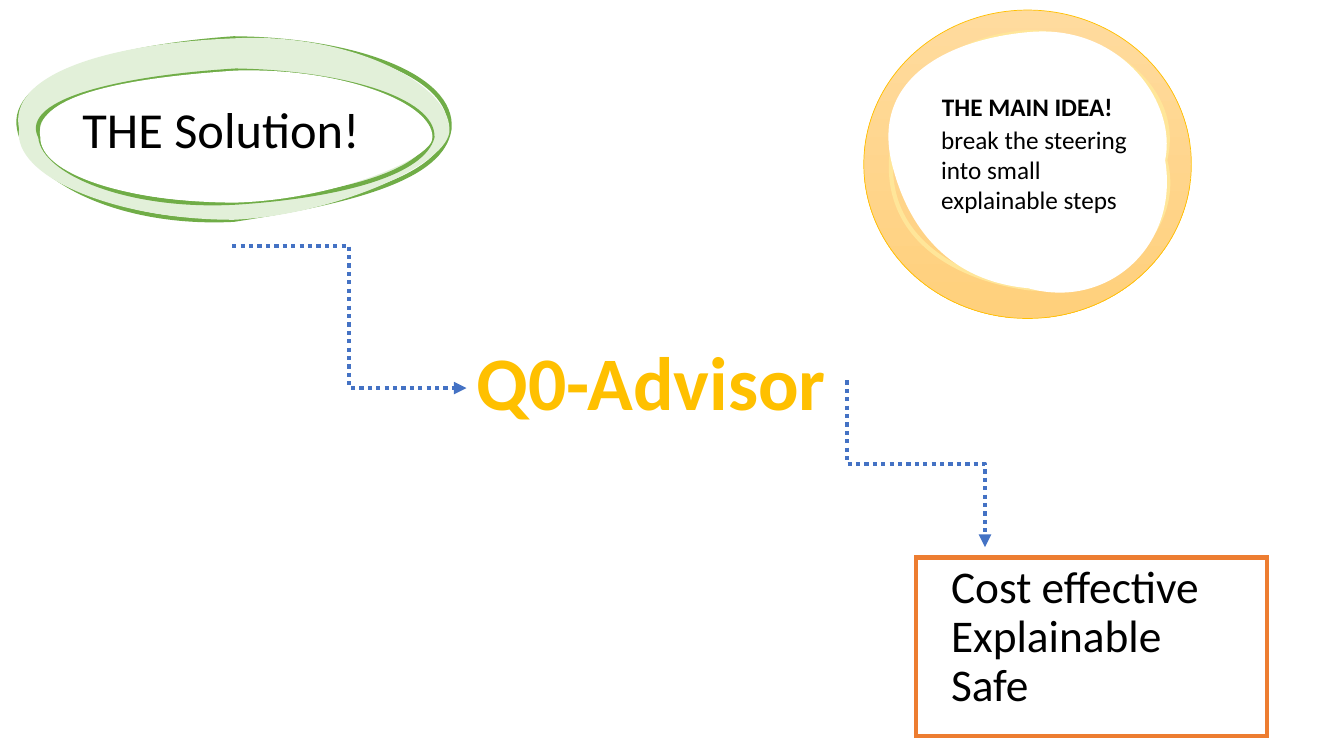
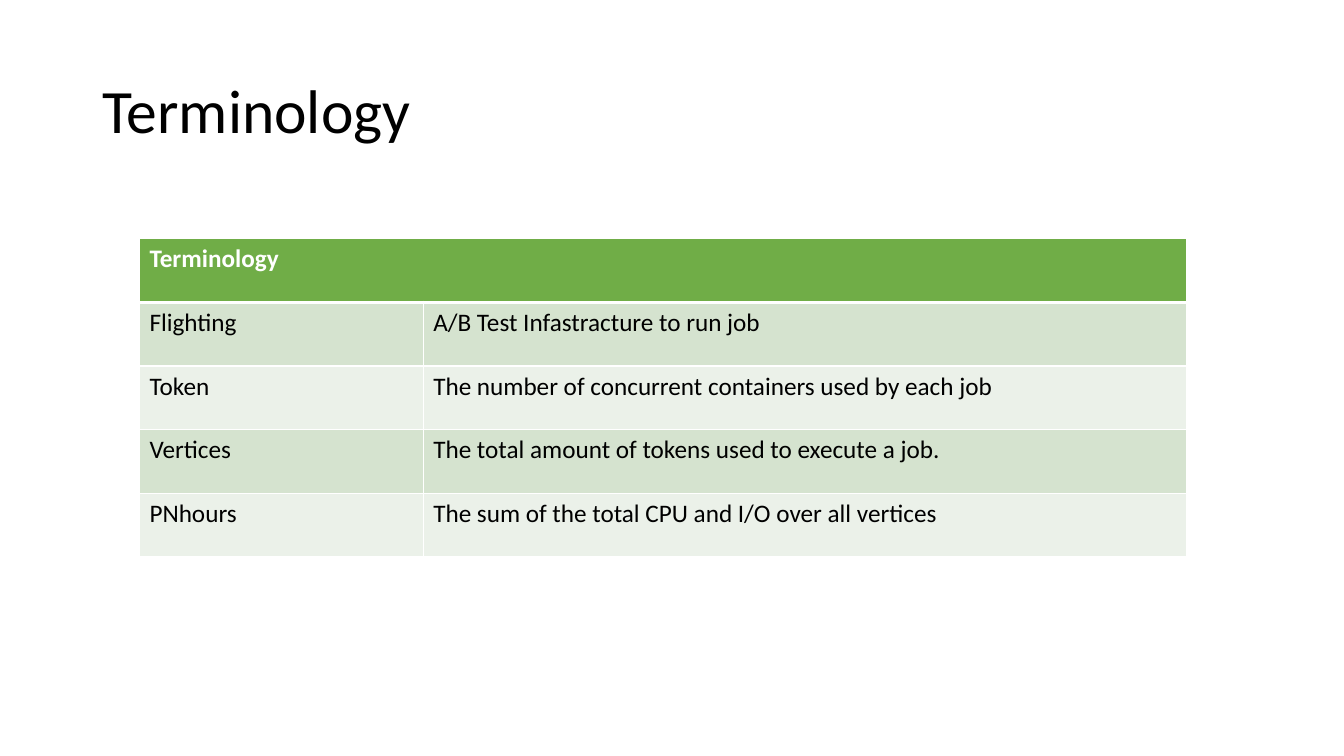
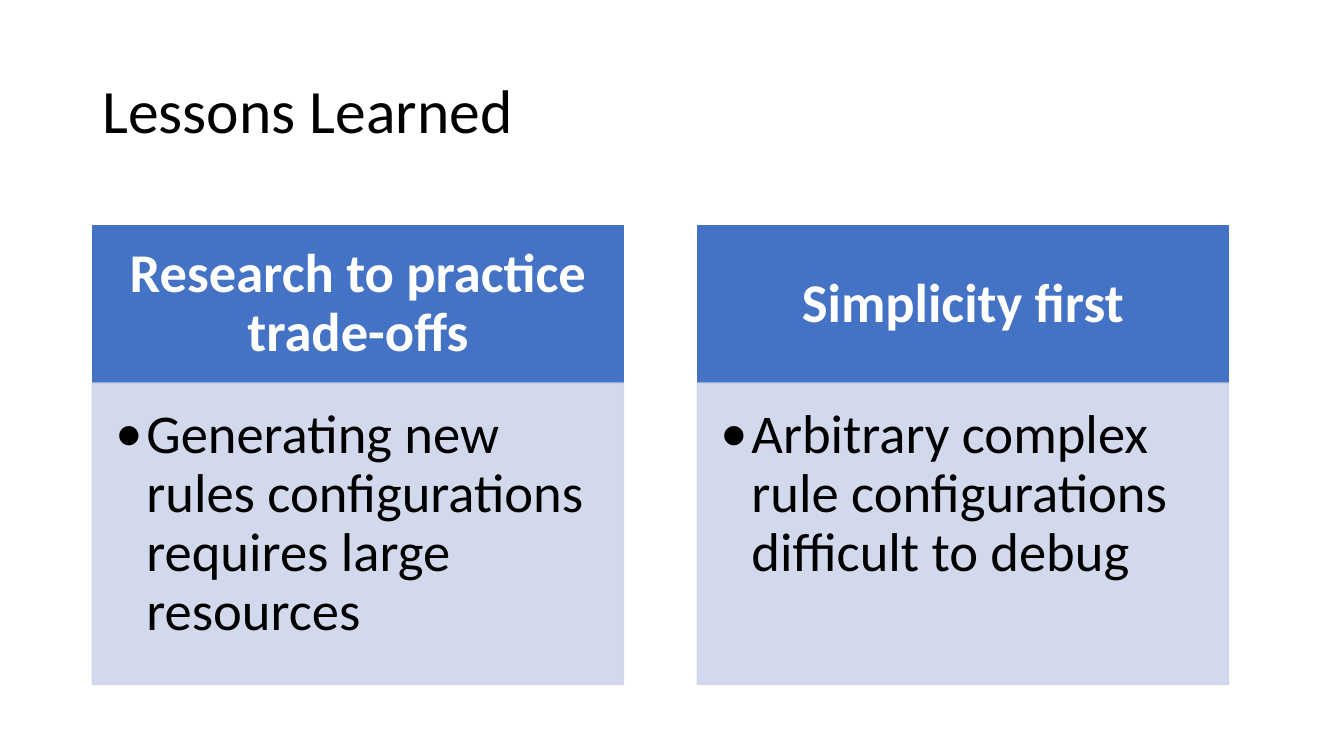
import pptx
import pptx.util
import pptx.dml.color
import pptx.enum.dml
import pptx.enum.shapes
import pptx.enum.text
import pptx.oxml
import pptx.oxml.ns
from lxml import etree

Pt = pptx.util.Pt
RGB = pptx.dml.color.RGBColor.from_string
KIND = pptx.enum.shapes.MSO_SHAPE
ANCHOR = pptx.enum.text.MSO_ANCHOR
ALIGN = pptx.enum.text.PP_ALIGN
qn = pptx.oxml.ns.qn

FONT = "Calibri"
INK = {
    "black": "000000", "white": "FFFFFF", "green": "70AD47",
    "mint": "E2F0D9", "gold": "FFC000", "cream": "FFE699",
    "peach": "FFDB9E", "amber": "FFD07C", "orange": "ED7D31",
    "blue": "4472C4", "pale": "CFD5EA", "sage": "D5E3CF", "mist": "EBF1E9",
}

OVALS = {
    "outer": {
        "fill": "mint", "line": "green",
        "ends": [(13.7, 92.2), (167, 27.4), (321.1, 92.2), (167, 157)],
        "edge": [(6.5, 56.2), (77, 33.8), (252, 28.1), (324.7, 54),
                 (316.1, 127.4), (252, 144), (82.1, 161.3), (19.4, 126)],
        "body": [(5, 53.3), (76.3, 31), (249.1, 23), (320.4, 59),
                 (322.6, 116.6), (240.5, 153.4), (81.4, 157), (8.6, 126)],
    },
    "inner": {
        "fill": "white", "line": "green",
        "ends": [(28.8, 97.9), (168.5, 50.4), (308.9, 97.9), (168.5, 144.7)],
        "edge": [(15.1, 72), (87.1, 55.4), (245.5, 51.8), (309.6, 71.3),
                 (302.4, 123.1), (246.2, 139.7), (91.4, 149), (31, 123.1)],
        "body": [(23.8, 69.8), (81.4, 56.2), (244.8, 48.2), (308.9, 73.4),
                 (310.3, 113), (239, 142.6), (89.3, 144.7), (28.1, 123.8)],
    },
    "idea": {
        "fill": "white", "line": "cream",
        "ends": [(636.5, 114.5), (734.4, 23), (832.3, 114.5), (734.4, 205.9)],
        "edge": [(640.8, 51.8), (687.6, 25.9), (787, 22.3), (845.3, 60.5),
                 (845.3, 162), (799.2, 211), (681.8, 198.7), (633.6, 169.9)],
        "body": [(623.5, 54.7), (679, 28.1), (799.9, 16.6), (841, 72.7),
                 (842.4, 175.7), (791.3, 221.8), (679, 200.9), (648, 164.2)],
    },
}

LABELS = [
    ("THE Solution!", (51.8, 66.2, 480, 94.3), 36, "black", False),
    ("Q0-Advisor", (333.4, 235.4, 480, 72.7), 54, "gold", True),
    ("THE MAIN IDEA!", (665.8, 61.9, 136.8, 28.8), 18, "black", True),
    ("break the steering into small explainable steps",
     (665.2, 85.2, 157.7, 72.7), 18, "black", False),
]
GOALS = ["Cost effective", "Explainable", "Safe"]
ARROWS = [
    ((165.9, 175.7), (333.2, 277.2), 0),
    ((713.8, 281.9), (594.7, 380.6), 270),
]

TERMS = [
    ("Flighting", "A/B Test Infastracture to run job"),
    ("Token", "The number of concurrent containers used by each job"),
    ("Vertices", "The total amount of tokens used to execute a job."),
    ("PNhours", "The sum of the total CPU and I/O over all vertices"),
]

LESSONS = [
    ("Research to practice trade-offs",
     "Generating new rules configurations requires large resources"),
    ("Simplicity first",
     "Arbitrary complex rule configurations difficult to debug"),
]


def add_run(para, text, size, ink="black", bold=False):
    run = para.add_run()
    run.text = text
    font = run.font
    font.name, font.size, font.bold = FONT, Pt(size), bold
    font.color.rgb = RGB(INK[ink])


def set_frame(frame, pads=(7.2, 3.6, 7.2, 3.6), anchor=ANCHOR.TOP):
    frame.word_wrap = True
    frame.vertical_anchor = anchor
    (frame.margin_left, frame.margin_top,
     frame.margin_right, frame.margin_bottom) = map(Pt, pads)
    return frame


def add_text(slide, text, box, size, ink="black", bold=False,
             anchor=ANCHOR.TOP, gap=1.0):
    shape = slide.shapes.add_textbox(*map(Pt, box))
    para = set_frame(shape.text_frame, anchor=anchor).paragraphs[0]
    para.line_spacing = gap
    add_run(para, text, size, ink, bold)


def add_title(slide, text):
    add_text(slide, text, (66, 28.8, 828, 104.4), 44,
             anchor=ANCHOR.MIDDLE, gap=0.9)


def paint(shape, fill, line, width=1):
    shape.shadow.inherit = False
    shape.fill.solid()
    shape.fill.fore_color.rgb = RGB(INK[fill])
    shape.line.color.rgb = RGB(INK[line])
    shape.line.width = Pt(width)


def add_box(slide, box, fill, line, width=1, kind=KIND.RECTANGLE):
    shape = slide.shapes.add_shape(kind, *map(Pt, box))
    paint(shape, fill, line, width)
    return shape


def add_oval(slide, oval):
    ends = oval["ends"]
    left, top = (min(axis) for axis in zip(*ends))
    dots = [(Pt(x), Pt(y)) for x, y in ends]
    pen = slide.shapes.build_freeform(*dots[0], scale=1.0)
    pen.add_line_segments(dots[1:], close=True)
    shape = pen.convert_to_shape()
    paint(shape, oval["fill"], oval["line"], 3)

    def add_dot(parent, x, y):
        etree.SubElement(parent, qn("a:pt"),
                         x=str(Pt(x - left)), y=str(Pt(y - top)))

    trail = next(shape._element.spPr.iter(qn("a:pathLst")))
    trail.clear()
    for part, flag in (("edge", {"fill": "none"}), ("body", {"stroke": "0"})):
        loop = etree.SubElement(trail, qn("a:path"), w=str(shape.width),
                                h=str(shape.height), **flag)
        add_dot(etree.SubElement(loop, qn("a:moveTo")), *ends[0])
        grips = oval[part]
        for i in range(len(ends)):
            curve = etree.SubElement(loop, qn("a:cubicBezTo"))
            for dot in (*grips[2 * i:2 * i + 2], ends[(i + 1) % len(ends)]):
                add_dot(curve, *dot)
        etree.SubElement(loop, qn("a:close"))


def add_arrow(slide, start, end, turn):
    link = slide.shapes.add_connector(
        pptx.enum.shapes.MSO_CONNECTOR.ELBOW, *map(Pt, start + end))
    link.line.color.rgb = RGB(INK["blue"])
    link.line.width = Pt(3)
    link.line.dash_style = pptx.enum.dml.MSO_LINE.ROUND_DOT
    props = link._element.spPr
    etree.SubElement(props.find(qn("a:ln")), qn("a:tailEnd"), type="triangle")
    etree.SubElement(props, qn("a:effectLst"))
    if turn:
        props.find(qn("a:xfrm")).set("rot", str(turn * 60000))


def add_edges(cell, base, skip=""):
    props = cell._tc.get_or_add_tcPr()
    sides = [side for side in "LRTB" if side != skip]
    for i, side in enumerate(sides):
        width = base if side == "B" else 1
        line = etree.Element(qn("a:ln" + side), w=str(Pt(width)))
        fill = etree.SubElement(line, qn("a:solidFill"))
        etree.SubElement(fill, qn("a:srgbClr"), val=INK["white"])
        props.insert(i, line)


def fade(shape, share):
    for tone in shape._element.spPr.iter(qn("a:srgbClr")):
        etree.SubElement(tone, qn("a:alpha"), val=str(share * 1000))


def add_goals(slide):
    shape = add_box(slide, (654.2, 398.2, 250.9, 127.4), "white", "orange", 3)
    etree.SubElement(shape._element.spPr.find(qn("a:ln")), qn("a:miter"),
                     lim="800000")
    frame = set_frame(shape.text_frame, (7.2, 5, 7.2, 3.6))
    para = frame.paragraphs[0]
    para._p.get_or_add_pPr().set("marL", str(Pt(18)))
    para.alignment = ALIGN.LEFT
    para.line_spacing = 0.9
    for i, goal in enumerate(GOALS):
        if i:
            para.add_line_break()
        add_run(para, goal, 32.4)


def add_idea(slide):
    add_goals(slide)
    add_oval(slide, OVALS["outer"])
    add_oval(slide, OVALS["inner"])
    ring = add_box(slide, (617, 7.2, 234, 220.3), "peach", "gold", 0.5,
                   KIND.OVAL)
    ring.fill.gradient()
    ring.fill.gradient_angle = 270
    for stop, ink in zip(ring.fill.gradient_stops, ("peach", "amber")):
        stop.color.rgb = RGB(INK[ink])
    add_oval(slide, OVALS["idea"])
    for label in LABELS:
        add_text(slide, *label)
    for arrow in ARROWS:
        add_arrow(slide, *arrow)


def add_terms(slide):
    add_title(slide, "Terminology")
    rows = [("Terminology", "")] + TERMS
    high = 45.45
    table = slide.shapes.add_table(
        len(rows), 2, Pt(99.6), Pt(170.6), Pt(748), Pt(high * len(rows))).table
    for col, wide in zip(table.columns, (202.7, 545.3)):
        col.width = Pt(wide)
    table.cell(0, 0).merge(table.cell(0, 1))
    for r, row in enumerate(rows):
        table.rows[r].height = Pt(high)
        head = r == 0
        tone = "green" if head else ("mist", "sage")[r % 2]
        for c, text in enumerate(row):
            cell = table.cell(r, c)
            cell.fill.solid()
            cell.fill.fore_color.rgb = RGB(INK[tone])
            add_edges(cell, 3 if head else 1, "RL"[c] if head else "")
            if text:
                add_run(cell.text_frame.paragraphs[0], text, 18,
                        "white" if head else "black", head)


def add_lessons(slide):
    add_title(slide, "Lessons Learned")
    wide, top, split, foot = 379.4, 161.3, 273.6, 488.9
    for i, (name, note) in enumerate(LESSONS):
        left = 66 + i * 432.2
        head = add_box(slide, (left, top, wide, split - top), "blue", "blue")
        para = set_frame(head.text_frame, (21.6, 12.2, 21.6, 12.2),
                         ANCHOR.MIDDLE).paragraphs[0]
        para.alignment = ALIGN.CENTER
        para.line_spacing = 0.9
        add_run(para, name, 39, "white", True)

        body = add_box(slide, (left, split, wide, foot - split), "pale", "pale")
        fade(body, 90)
        para = set_frame(body.text_frame,
                         (16.4, 16.6, 21.6, 24.5)).paragraphs[0]
        para.level = 1
        para.alignment = ALIGN.LEFT
        para.line_spacing = 0.9
        props = para._p.get_or_add_pPr()
        props.set("marL", str(Pt(22.2)))
        props.set("indent", str(Pt(-22.2)))
        etree.SubElement(props, qn("a:buFont"), typeface=FONT)
        etree.SubElement(props, qn("a:buChar"), char="•")
        add_run(para, note, 39)


def main():
    deck = pptx.Presentation()
    deck.slide_width, deck.slide_height = Pt(960), Pt(540)
    for build in (add_idea, add_terms, add_lessons):
        build(deck.slides.add_slide(deck.slide_layouts[6]))
    deck.save("out.pptx")


if __name__ == "__main__":
    main()
